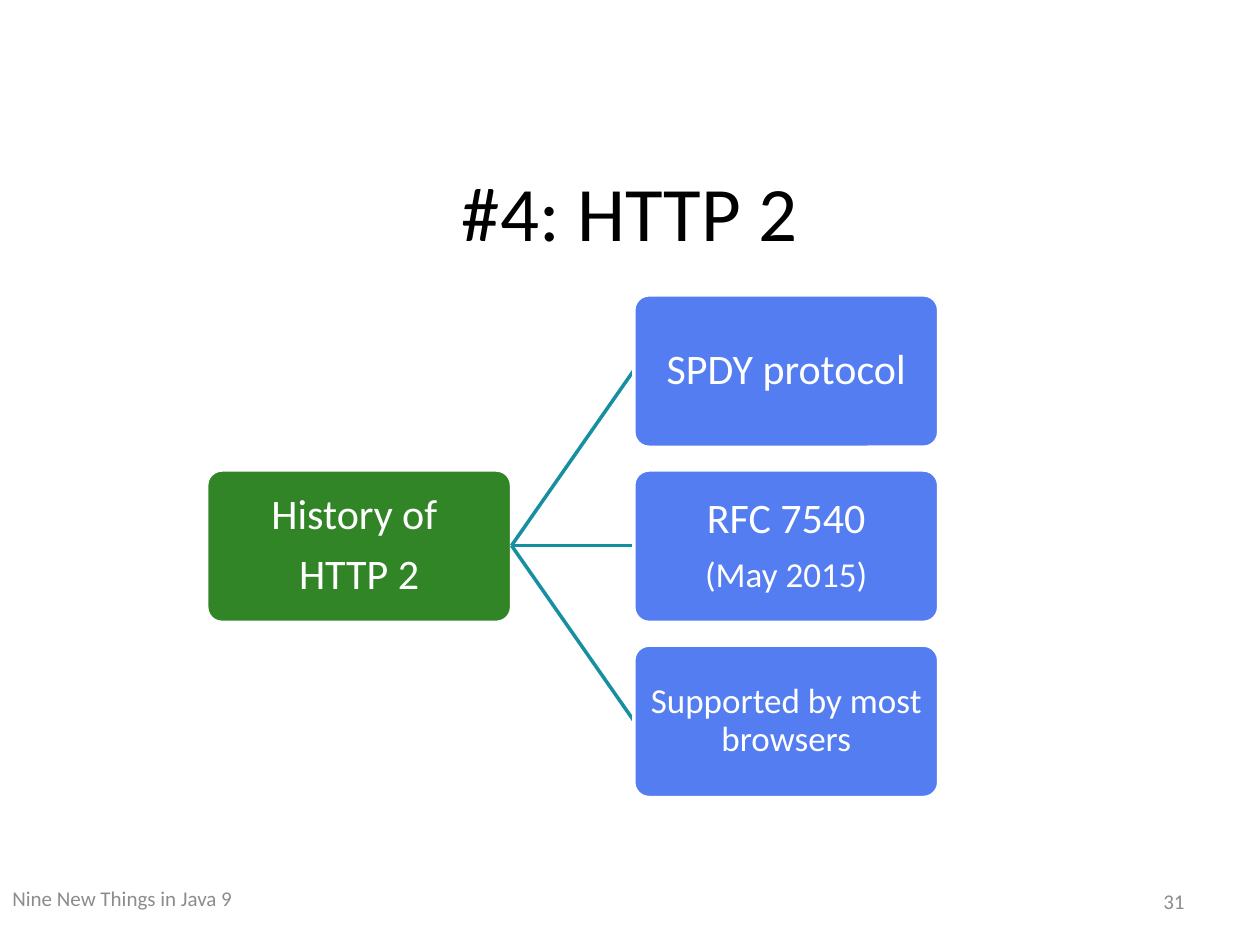
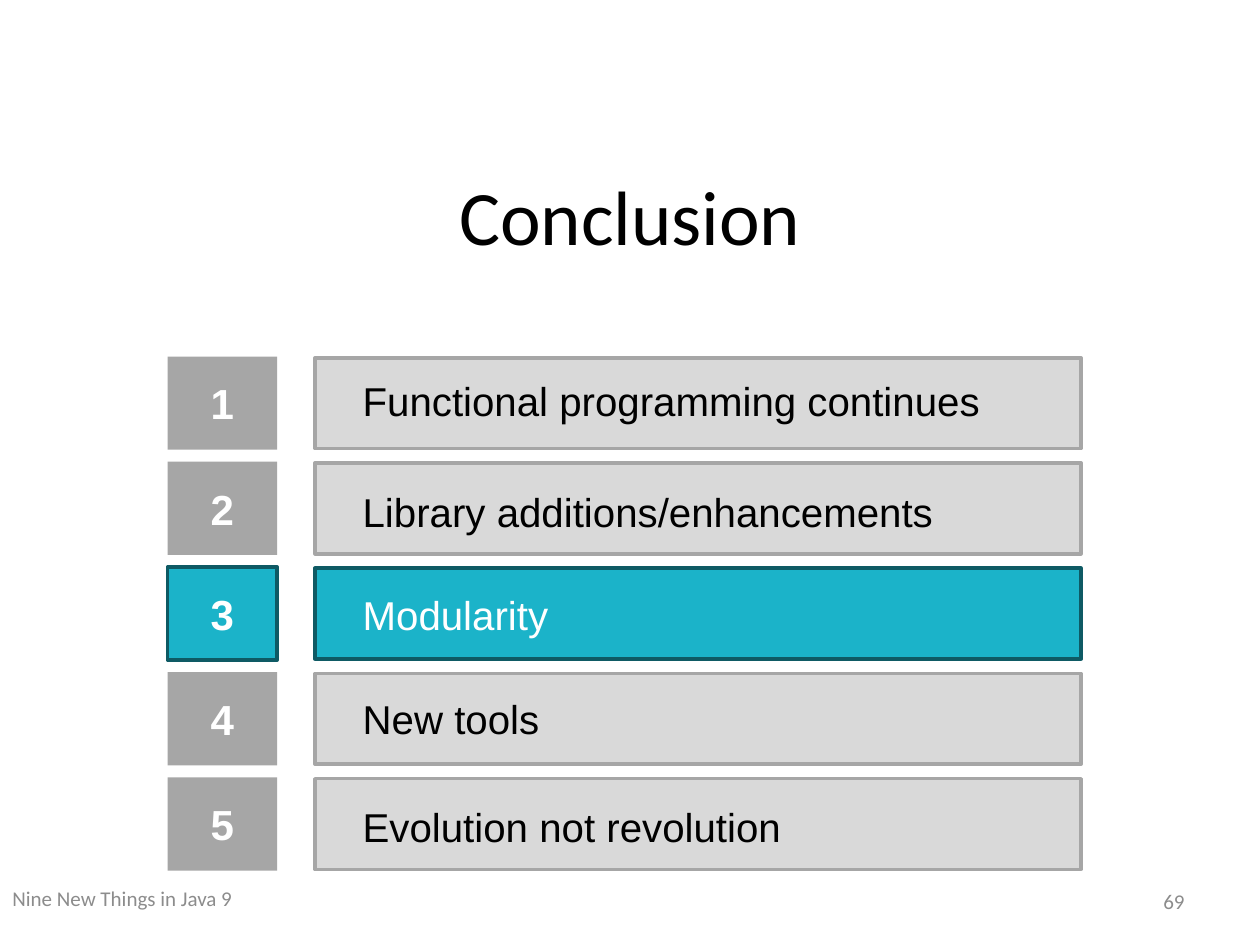
import pptx
import pptx.util
import pptx.dml.color
import pptx.enum.shapes
import pptx.enum.text
import pptx.oxml.ns
import lxml.etree

Inches = pptx.util.Inches
Pt = pptx.util.Pt
Kind = pptx.enum.shapes.MSO_SHAPE
Align = pptx.enum.text.PP_ALIGN
Anchor = pptx.enum.text.MSO_ANCHOR

BODY, LIST = "Calibri", "Arial"
WHITE, BLACK, MUTED = "FFFFFF", "000000", "8C8C8C"
GREEN, BLUE, TEAL = "318527", "547DF2", "168FA1"
GREY, PALE, CYAN, DARK = "A6A6A6", "D9D9D9", "1BB3C9", "0E5A64"


def color(code):
    return pptx.dml.color.RGBColor.from_string(code)


class Deck:
    """Holds the shared style and the slide being drawn."""

    def __init__(self):
        self.prs = pptx.Presentation()
        self.prs.slide_width = Inches(10)
        self.prs.slide_height = Inches(7.5)
        self.slide = None

    def start(self, title, top, height, number):
        self.slide = self.prs.slides.add_slide(self.prs.slide_layouts[5])
        head = self.slide.shapes.title
        head.left, head.top = Inches(0), Inches(top)
        head.width, head.height = Inches(10), Inches(height)
        self.fill_text(head, [(title, 44)], BLACK, align=Align.CENTER)
        # Footer and slide number
        self.label("Nine New Things in Java 9", (0, 6.93, 10, 0.4), 12, MUTED)
        self.label(str(number), (7.17, 6.95, 2.33, 0.4), 12, MUTED,
                   align=Align.RIGHT)

    def fill_text(self, shape, lines, ink, font=BODY, bold=False,
                  align=Align.LEFT, tight=False):
        frame = shape.text_frame
        frame.word_wrap = True
        frame.auto_size = pptx.enum.text.MSO_AUTO_SIZE.NONE
        frame.vertical_anchor = Anchor.MIDDLE
        if tight:
            frame.margin_left = frame.margin_right = Inches(0.02)
            frame.margin_top = frame.margin_bottom = Inches(0.02)
        for i, (text, size) in enumerate(lines):
            para = frame.add_paragraph() if i else frame.paragraphs[0]
            para.alignment = align
            if tight:
                para.line_spacing = 0.9
            if i < len(lines) - 1:
                para.space_after = Pt(size * 0.35)
            run = para.add_run()
            run.text = text
            run.font.name, run.font.size = font, Pt(size)
            run.font.bold = bold
            run.font.color.rgb = color(ink)

    def label(self, text, box, size, ink, **style):
        shape = self.slide.shapes.add_textbox(*map(Inches, box))
        self.fill_text(shape, [(text, size)], ink, **style)

    def block(self, kind, box, fill, edge=None):
        shape = self.slide.shapes.add_shape(kind, *map(Inches, box))
        shape.shadow.inherit = False
        shape.fill.solid()
        shape.fill.fore_color.rgb = color(fill)
        if edge:
            shape.line.color.rgb = color(edge)
            shape.line.width = Pt(2)
        else:
            shape.line.fill.background()
        return shape

    def node(self, lines, left, top, fill):
        shape = self.block(Kind.ROUNDED_RECTANGLE,
                           (left, top, 2.42, 1.21), fill, WHITE)
        shape.adjustments[0] = 0.1
        self.fill_text(shape, lines, WHITE, align=Align.CENTER, tight=True)

    def link(self, *ends):
        line = self.slide.shapes.add_connector(
            pptx.enum.shapes.MSO_CONNECTOR.STRAIGHT, *map(Inches, ends))
        line.line.color.rgb = color(TEAL)
        line.line.width = Pt(2)
        props = line._element.spPr
        lxml.etree.SubElement(props, pptx.oxml.ns.qn("a:effectLst"))


def history(deck):
    deck.start("#4: HTTP 2", 1.25, 0.84, 31)
    # Root of the tree
    root, leaf, mid = 1.64, 5.03, 3.73
    deck.node([("History of ", 24), ("HTTP 2", 24)], root, mid, GREEN)
    # Branches, evenly stacked around the root
    facts = [
        [("SPDY protocol", 24)],
        [("RFC 7540", 24), ("(May 2015)", 20)],
        [("Supported by most browsers", 20)],
    ]
    for i, lines in enumerate(facts):
        top = mid + (i - 1) * 1.39
        deck.link(root + 2.42, mid + 0.6, leaf, top + 0.6)
        deck.node(lines, leaf, top, BLUE)


def ending(deck):
    deck.start("Conclusion", 1.08, 1.25, 69)
    # Numbered rows: text and the top of its label
    rows = [
        ("Functional programming continues", 2.93),
        ("Library additions/enhancements", 3.81),
        ("Modularity", 4.63),
        ("New tools", 5.46),
        ("Evolution not revolution", 6.31),
    ]
    for i, (text, place) in enumerate(rows):
        top = 2.83 + i * 3.34 / 4
        if text == "Modularity":
            tile, bar, rim, edge, ink = CYAN, CYAN, DARK, DARK, WHITE
        else:
            tile, bar, rim, edge, ink = GREY, PALE, None, GREY, BLACK
        badge = deck.block(Kind.RECTANGLE, (1.33, top, 0.87, 0.74), tile, rim)
        deck.fill_text(badge, [(str(i + 1), 24)], WHITE, font=LIST, bold=True,
                       align=Align.CENTER)
        deck.block(Kind.RECTANGLE, (2.5, top + 0.01, 6.08, 0.72), bar, edge)
        deck.label(text, (2.78, place, 5.6, 0.49), 23, ink, font=LIST)


def main():
    deck = Deck()
    history(deck)
    ending(deck)
    deck.prs.save("out.pptx")


if __name__ == "__main__":
    main()
